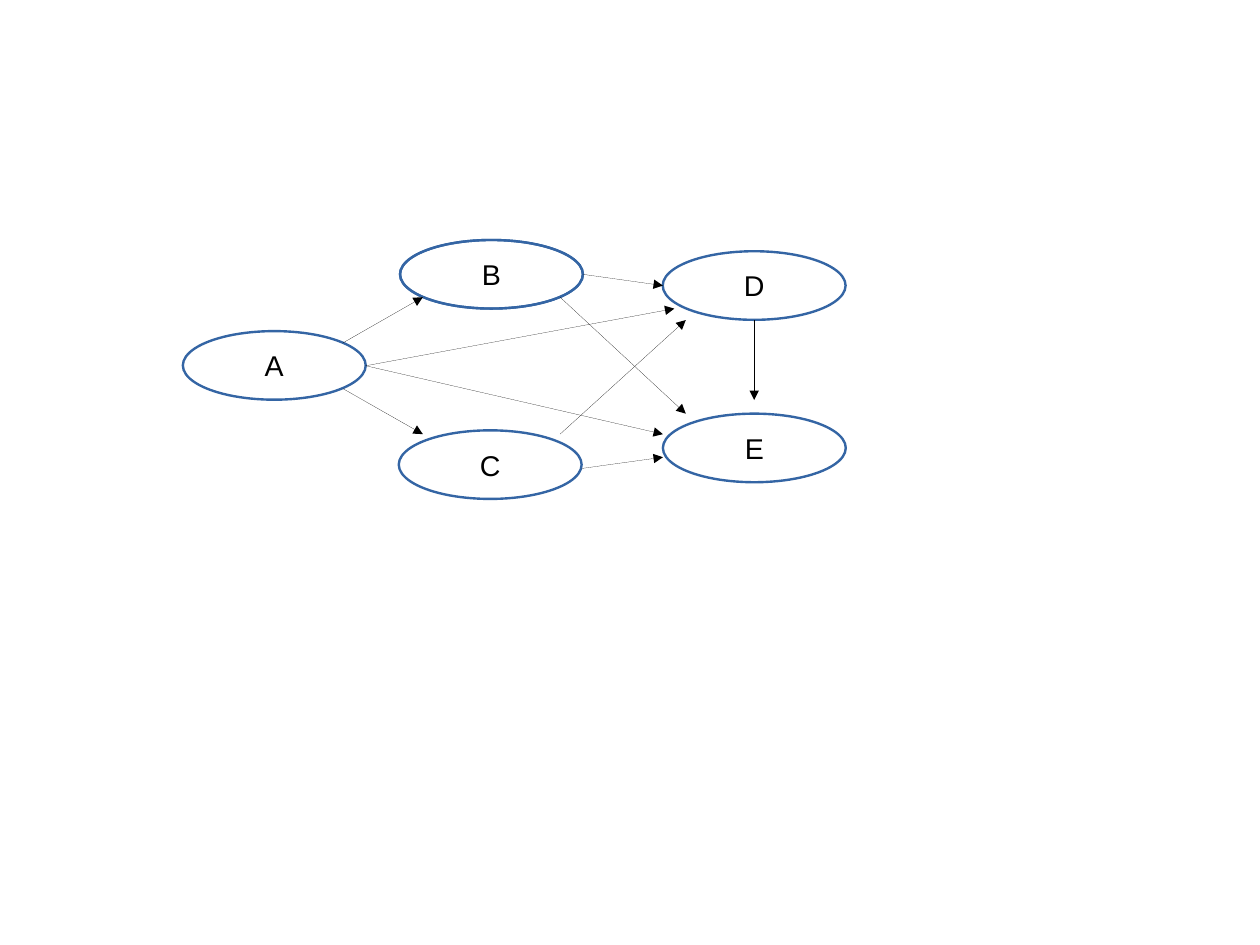
from lxml.etree import SubElement
from pptx import Presentation
from pptx.dml.color import RGBColor
from pptx.enum.shapes import MSO_CONNECTOR, MSO_SHAPE
from pptx.enum.text import MSO_ANCHOR, PP_ALIGN
from pptx.oxml.ns import qn
from pptx.util import Pt

NODE_WIDTH, NODE_HEIGHT = 115.2, 43.2
NODES = {
    "A": (115.2, 208.6),
    "C": (251.2, 271.1),
    "B": (252, 151.2),
    "D": (417.5, 158.3),
    "E": (417.6, 260.6),
}
EDGES = [
    ((216, 216), (266.4, 187.2)),        # A to B
    ((216, 244.8), (266.4, 273.5)),      # A to C
    ((367.2, 172.8), (417.6, 179.9)),    # B to D
    ((366.5, 295.1), (417.6, 288)),      # C to E
    ((475.1, 201.6), (475.1, 252)),      # D to E
    ((352.8, 187.2), (432, 260.6)),      # B to E
    ((230.4, 230.4), (417.6, 273.5)),    # A to E
    ((352.8, 273.5), (432, 201.6)),      # C to D
    ((230.4, 230.4), (424.8, 194.4)),    # A to D
]


def color(hex_code):
    return RGBColor.from_string(hex_code)


def add_outline(slide, left, top):
    """Draw an unfilled node ellipse."""
    ellipse = slide.shapes.add_shape(
        MSO_SHAPE.OVAL, Pt(left), Pt(top), Pt(NODE_WIDTH), Pt(NODE_HEIGHT))
    ellipse.shadow.inherit = False
    ellipse.fill.background()
    ellipse.line.color.rgb = color("3465A4")
    ellipse.line.width = Pt(1.5)
    return ellipse


def add_node(slide, label, left, top):
    frame = add_outline(slide, left, top).text_frame
    frame.word_wrap = False
    frame.vertical_anchor = MSO_ANCHOR.MIDDLE
    frame.margin_left = frame.margin_right = Pt(8)
    frame.margin_top = frame.margin_bottom = Pt(4.3)
    paragraph = frame.paragraphs[0]
    paragraph.alignment = PP_ALIGN.CENTER
    run = paragraph.add_run()
    run.text = label
    run.font.name = "Arial"
    run.font.size = Pt(18)
    run.font.color.rgb = color("000000")


def add_arrow(slide, start, end):
    arrow = slide.shapes.add_connector(
        MSO_CONNECTOR.STRAIGHT, *(Pt(value) for value in start + end))
    arrow.line.color.rgb = color("000000")
    hairline = arrow.get_or_add_ln()
    hairline.set("w", "0")
    SubElement(hairline, qn("a:tailEnd"), type="triangle")
    SubElement(hairline.getparent(), qn("a:effectLst"))


def main():
    presentation = Presentation()
    presentation.slide_width = Pt(793.7)
    presentation.slide_height = Pt(595.28)
    slide = presentation.slides.add_slide(presentation.slide_layouts[6])
    for label, (left, top) in NODES.items():
        add_node(slide, label, left, top)
        if label == "B":
            add_outline(slide, left, top)  # B has a doubled outline
    for start, end in EDGES:
        add_arrow(slide, start, end)
    presentation.save("out.pptx")


if __name__ == "__main__":
    main()
